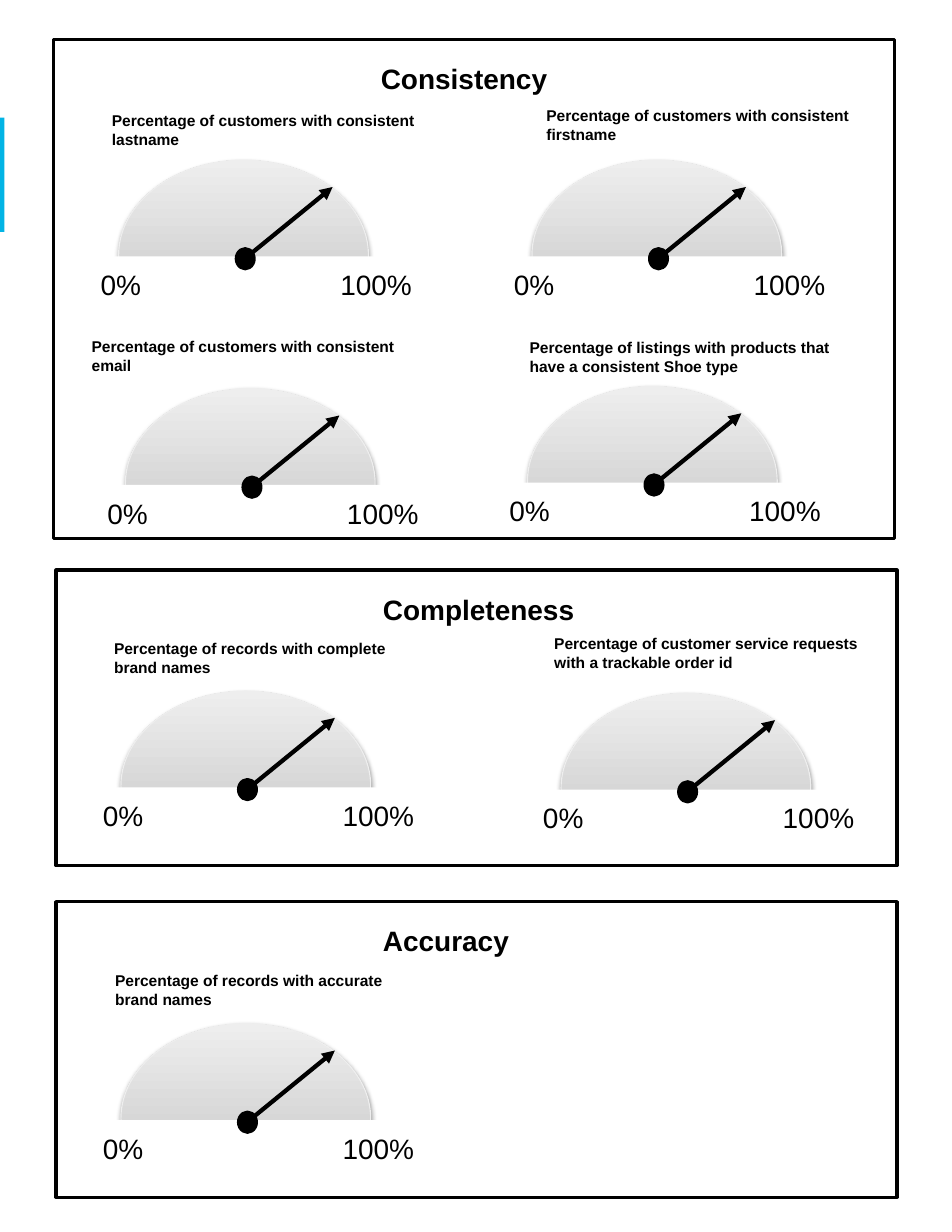
import pptx
import pptx.util
import pptx.dml.color
import pptx.enum.shapes
import pptx.enum.text
import pptx.oxml
import pptx.oxml.ns

Inches = pptx.util.Inches
Pt = pptx.util.Pt
qn = pptx.oxml.ns.qn
NS = pptx.oxml.ns.nsdecls("a")
KIND = pptx.enum.shapes.MSO_SHAPE

THEME = {
    "ink": pptx.dml.color.RGBColor.from_string("000000"),
    "paper": pptx.dml.color.RGBColor.from_string("FFFFFF"),
    "rim": pptx.dml.color.RGBColor.from_string("EEEEEE"),
    "accent": pptx.dml.color.RGBColor.from_string("02B4E5"),
    "dial": [(0, "BDBDBD"), (35, "D1D1D1"), (100, "EEEEEE")],
    "title": {"name": "Arial", "size": Pt(18), "bold": True},
    "label": {"name": "Arial", "size": Pt(10), "bold": True},
    "scale": {"name": "Arial", "size": Pt(18), "bold": False},
}
FRAME = {
    "word_wrap": True,
    "vertical_anchor": pptx.enum.text.MSO_ANCHOR.TOP,
    "auto_size": pptx.enum.text.MSO_AUTO_SIZE.SHAPE_TO_FIT_TEXT,
}

# Each panel: title, frame (left, top, height), gauges (left, base), labels (left, top, lines)
PANELS = [
    ("Consistency", (0.48, 0.35, 4.46),
     [(0.8, 2.29), (4.49, 2.29), (0.86, 4.33), (4.45, 4.31)],
     [(0.9, 0.94, ["Percentage of customers with consistent", "lastname"]),
      (4.78, 0.9, ["Percentage of customers with consistent", "firstname"]),
      (0.72, 2.96, ["Percentage of customers with consistent", "email"]),
      (4.63, 2.97, ["Percentage of listings with products that have a consistent Shoe type"])]),
    ("Completeness", (0.5, 5.09, 2.64),
     [(0.82, 7.03), (4.75, 7.05)],
     [(0.92, 5.66, ["Percentage of records with complete brand names"]),
      (4.85, 5.61, ["Percentage of customer service requests with a trackable order id"])]),
    ("Accuracy", (0.5, 8.05, 2.64),
     [(0.82, 10)],
     [(0.93, 8.62, ["Percentage of records with accurate brand names"])]),
]


def draw(shapes, kind, left, top, wide, high, fill=None, line=None, width=2):
    shape = shapes.add_shape(kind, Inches(left), Inches(top), Inches(wide), Inches(high))
    shape.shadow.inherit = False
    for part, tint in ((shape.fill, fill), (shape.line.fill, line)):
        if tint is None:
            part.background()
        else:
            part.solid()
            part.fore_color.rgb = tint
    if line is not None:
        shape.line.width = Pt(width)
    return shape


def write(box, at, lines, style, stop=None):
    box.left, box.top, box.width, box.height = map(Inches, at)
    frame = box.text_frame
    for key, value in FRAME.items():
        setattr(frame, key, value)
    frame.text = "\n".join(lines)
    for para in frame.paragraphs:
        para.alignment = pptx.enum.text.PP_ALIGN.LEFT
        if stop:
            para._p.get_or_add_pPr().append(pptx.oxml.parse_xml(
                f'<a:tabLst {NS}><a:tab pos="{Inches(stop)}" algn="l"/></a:tabLst>'))
        for run in para.runs:
            for key, value in THEME[style].items():
                setattr(run.font, key, value)
            run.font.color.rgb = THEME["ink"]


deck = pptx.Presentation()
deck.slide_width, deck.slide_height = Inches(8.5), Inches(11)
slide = deck.slides.add_slide(deck.slide_layouts[5])
shapes = slide.shapes
ink, paper = THEME["ink"], THEME["paper"]

# Accent bar on the left edge
draw(shapes, KIND.RECTANGLE, 0, 1.05, 0.04, 1.02, fill=THEME["accent"])

for index, (title, (left, top, high), gauges, labels) in enumerate(PANELS):
    # Panel title: the first is the slide title
    head = shapes.title if index == 0 else shapes.add_textbox(0, 0, 0, 0)
    write(head, (left + 2.82, top + 0.15, 2.92, 0.64), [title], "title")

    for x, base in gauges:
        group = shapes.add_group_shape().shapes

        # Dial with gradient and soft shadow
        dial = draw(group, KIND.OVAL, x + 0.26, base - 0.86, 2.23, 1.69,
                    fill=paper, line=THEME["rim"], width=0.75)
        stops = "".join(f'<a:gs pos="{pos * 1000}"><a:srgbClr val="{tint}"/></a:gs>'
                        for pos, tint in THEME["dial"])
        props = dial._element.spPr
        props.replace(props.find(qn("a:solidFill")), pptx.oxml.parse_xml(
            f'<a:gradFill {NS} rotWithShape="1"><a:gsLst>{stops}</a:gsLst>'
            '<a:lin ang="16200000" scaled="0"/></a:gradFill>'))
        props.find(qn("a:effectLst")).append(pptx.oxml.parse_xml(
            f'<a:outerShdw {NS} blurRad="{Pt(3.1)}" dist="{Pt(1.6)}" dir="5400000" rotWithShape="0">'
            '<a:srgbClr val="000000"><a:alpha val="38000"/></a:srgbClr></a:outerShdw>'))

        # Cover for the lower half
        draw(group, KIND.RECTANGLE, x, base, 3.02, 1.02, fill=paper)

        # Needle
        needle = group.add_connector(
            pptx.enum.shapes.MSO_CONNECTOR.STRAIGHT,
            Inches(x + 1.41), Inches(base), Inches(x + 2.17), Inches(base - 0.62))
        needle.line.color.rgb = ink
        needle.line.width = Pt(2.75)
        props = needle._element.spPr
        props.find(qn("a:ln")).append(pptx.oxml.parse_xml(f'<a:tailEnd {NS} type="triangle"/>'))
        props.append(pptx.oxml.parse_xml(f"<a:effectLst {NS}/>"))

        # Scale and hub
        write(group.add_textbox(0, 0, 0, 0), (x, base + 0.05, 3.47, 0.4),
              ["0%\t100%"], "scale", stop=2.14)
        draw(group, KIND.OVAL, x + 1.31, base - 0.07, 0.16, 0.18, fill=ink, line=ink)

    # Labels and panel frame
    for x, y, lines in labels:
        write(shapes.add_textbox(0, 0, 0, 0), (x, y, 2.92, 0.44), lines, "label")
    draw(shapes, KIND.RECTANGLE, left, top, 7.51, high, line=ink)

deck.save("out.pptx")
